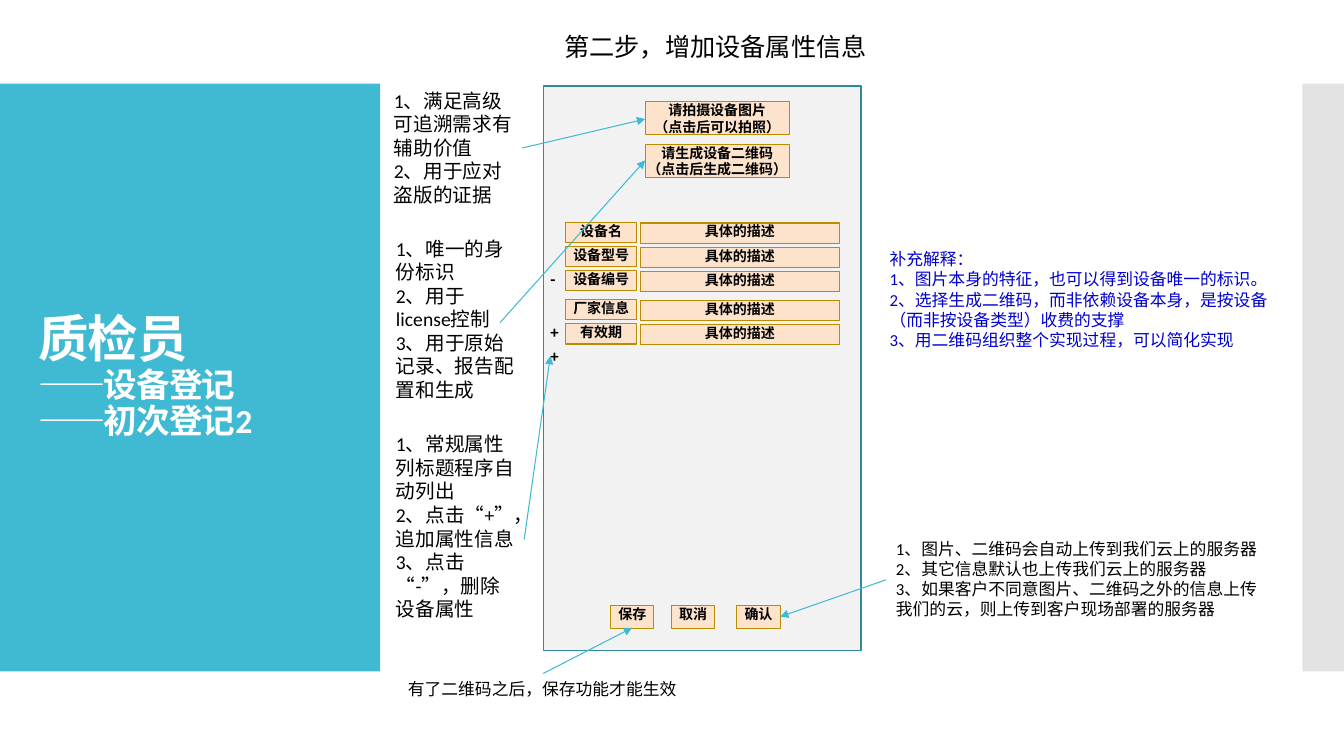
import pptx
import pptx.dml.color
import pptx.enum.shapes
import pptx.enum.text
import pptx.oxml.ns
import pptx.util
from lxml import etree

Cm = pptx.util.Cm
Pt = pptx.util.Pt
ANCHOR = pptx.enum.text.MSO_ANCHOR
ALIGN = pptx.enum.text.PP_ALIGN
qn = pptx.oxml.ns.qn

# Content: lengths in centimetres
TITLE = [("质检员", 36), ("——设备登记", 24), ("——初次登记2", 24)]
PANEL = (13.7, 2.17, 8, 14.22)
FIELDS = ["设备名", "设备型号", "设备编号", "厂家信息", "有效期"]
FIELD_VALUE = "具体的描述"
CAPTURES = [
    ["请拍摄设备图片", "（点击后可以拍照）"],
    ["请生成设备二维码", "（点击后生成二维码）"],
]
BUTTONS = [("保存", 15.39), ("取消", 16.92), ("确认", 18.57)]
SIGNS = [("-", 6.78), ("+", 8.1), ("+", 8.71)]
NOTES = [
    ((13.97, 0.66, 8.18, 1.02), 18, "000000", ["第二步，增加设备属性信息"]),
    ((9.68, 2.11, 3.48, 3.25), 14, "000000",
     ["1、满足高级可追溯需求有辅助价值", "2、用于应对盗版的证据"]),
    ((9.73, 5.84, 3.48, 4.45), 14, "000000",
     ["1、唯一的身份标识", "2、用于license控制", "3、用于原始记录、报告配置和生成"]),
    ((9.73, 10.77, 3.48, 5.64), 14, "000000",
     ["1、常规属性列标题程序自动列出", "2、点击“+”，追加属性信息", "3、点击", "“-”，删除设备属性"]),
    ((22.17, 6.15, 10.67, 2.82), 12, "0000CC",
     ["补充解释：", "1、图片本身的特征，也可以得到设备唯一的标识。",
      "2、选择生成二维码，而非依赖设备本身，是按设备（而非按设备类型）收费的支撑",
      "3、用二维码组织整个实现过程，可以简化实现"]),
    ((22.33, 13.44, 9.98, 2.31), 12, "000000",
     ["1、图片、二维码会自动上传到我们云上的服务器", "2、其它信息默认也上传我们云上的服务器",
      "3、如果客户不同意图片、二维码之外的信息上传我们的云，则上传到客户现场部署的服务器"]),
    ((10.03, 16.97, 7.34, 0.76), 12, "000000", ["有了二维码之后，保存功能才能生效"]),
]
ARROWS = [
    (13.21, 13.59, 13.87, 8.97),
    (13.16, 3.73, 16.26, 3),
    (12.6, 8.13, 16.26, 4.04),
    (22.33, 14.61, 19.66, 15.54),
    (13.69, 16.97, 15.93, 15.82),
]

presentation = pptx.Presentation()
presentation.slide_width, presentation.slide_height = Cm(33.87), Cm(19.05)
slide = presentation.slides.add_slide(presentation.slide_layouts[6])


def rgb(value):
    return pptx.dml.color.RGBColor.from_string(value)


def set_font(font, color, **values):
    for name, value in {"name": "Calibri", **values}.items():
        setattr(font, name, value)
    font.color.rgb = rgb(color)


def write(frame, lines, size, color="000000", bold=False, align=ALIGN.LEFT):
    for index, line in enumerate(lines):
        paragraph = frame.paragraphs[0] if index == 0 else frame.add_paragraph()
        paragraph.alignment = align
        run = paragraph.add_run()
        run.text = line
        set_font(run.font, color, size=Pt(size), bold=bold)


def set_frame(frame, inset=None, anchor=ANCHOR.TOP):
    values = {"word_wrap": True, "vertical_anchor": anchor}
    if inset is not None:
        sides = ("left", "top", "right", "bottom")
        values.update({f"margin_{side}": inset for side in sides})
    for name, value in values.items():
        setattr(frame, name, value)


def add_rectangle(box, fill, line=None, width=0.75):
    shape = slide.shapes.add_shape(
        pptx.enum.shapes.MSO_SHAPE.RECTANGLE, *map(Cm, box))
    shape.shadow.inherit = False
    shape.fill.solid()
    shape.fill.fore_color.rgb = rgb(fill)
    if line:
        shape.line.color.rgb = rgb(line)
        shape.line.width = Pt(width)
    else:
        shape.line.fill.background()
    return shape


def add_box(box, lines):
    shape = add_rectangle(box, "FDE2CC", "BB8B00")
    set_frame(shape.text_frame, inset=0)
    write(shape.text_frame, lines, 10, bold=True, align=ALIGN.CENTER)


def add_text(box, lines, size, color="000000", bold=False, inset=None):
    frame = slide.shapes.add_textbox(*map(Cm, box)).text_frame
    set_frame(frame, inset)
    write(frame, lines, size, color, bold)


def add_arrow(points):
    connector = slide.shapes.add_connector(
        pptx.enum.shapes.MSO_CONNECTOR.STRAIGHT, *map(Cm, points))
    connector.line.color.rgb = rgb("40BAD2")
    connector.line.width = Pt(0.75)
    properties = connector._element.spPr
    etree.SubElement(properties.find(qn("a:ln")), qn("a:tailEnd"), type="triangle")
    etree.SubElement(properties, qn("a:effectLst"))


# Side bands
add_rectangle((0, 2.11, 9.58, 14.81), "40BAD2")
right_band = add_rectangle((32.82, 2.11, 1.05, 14.81), "C8C8C8")
band_color = right_band._element.spPr.find(qn("a:solidFill"))[0]
etree.SubElement(band_color, qn("a:alpha"), val="50000")

# Title
title_frame = slide.shapes.add_textbox(*map(Cm, (0.71, 3.12, 8.18, 12.78))).text_frame
set_frame(title_frame, anchor=ANCHOR.MIDDLE)
title_paragraph = title_frame.paragraphs[0]
title_paragraph.line_spacing = 0.9
for index, (text, size) in enumerate(TITLE):
    if index:
        title_paragraph.add_line_break()
    run = title_paragraph.add_run()
    run.text = text
    set_font(run.font, "FFFFFF", size=Pt(size), bold=True)
    run.font._element.set("spc", "-60")

# Form panel: field rows, with a wider gap before the fourth
add_rectangle(PANEL, "F2F2F2", "2F8A9B", 0.85)
for row, label in enumerate(FIELDS):
    top = 5.6 + 0.61 * row + (0.12 if row >= 3 else 0)
    add_box((14.25, top, 1.8, 0.51), [label])
    add_box((16.13, top + 0.02, 5.03, 0.51), [FIELD_VALUE])
for row, lines in enumerate(CAPTURES):
    add_box((16.26, 2.56 + 1.07 * row, 3.63, 0.84), lines)
for label, left in BUTTONS:
    add_box((left, 15.27, 1.09, 0.56), [label])
for sign, top in SIGNS:
    add_text((13.87, top, 0.43, 0.51), [sign], 12, bold=True, inset=0)

# Notes and arrows
for box, size, color, lines in NOTES:
    add_text(box, lines, size, color)
for points in ARROWS:
    add_arrow(points)

presentation.save("out.pptx")
